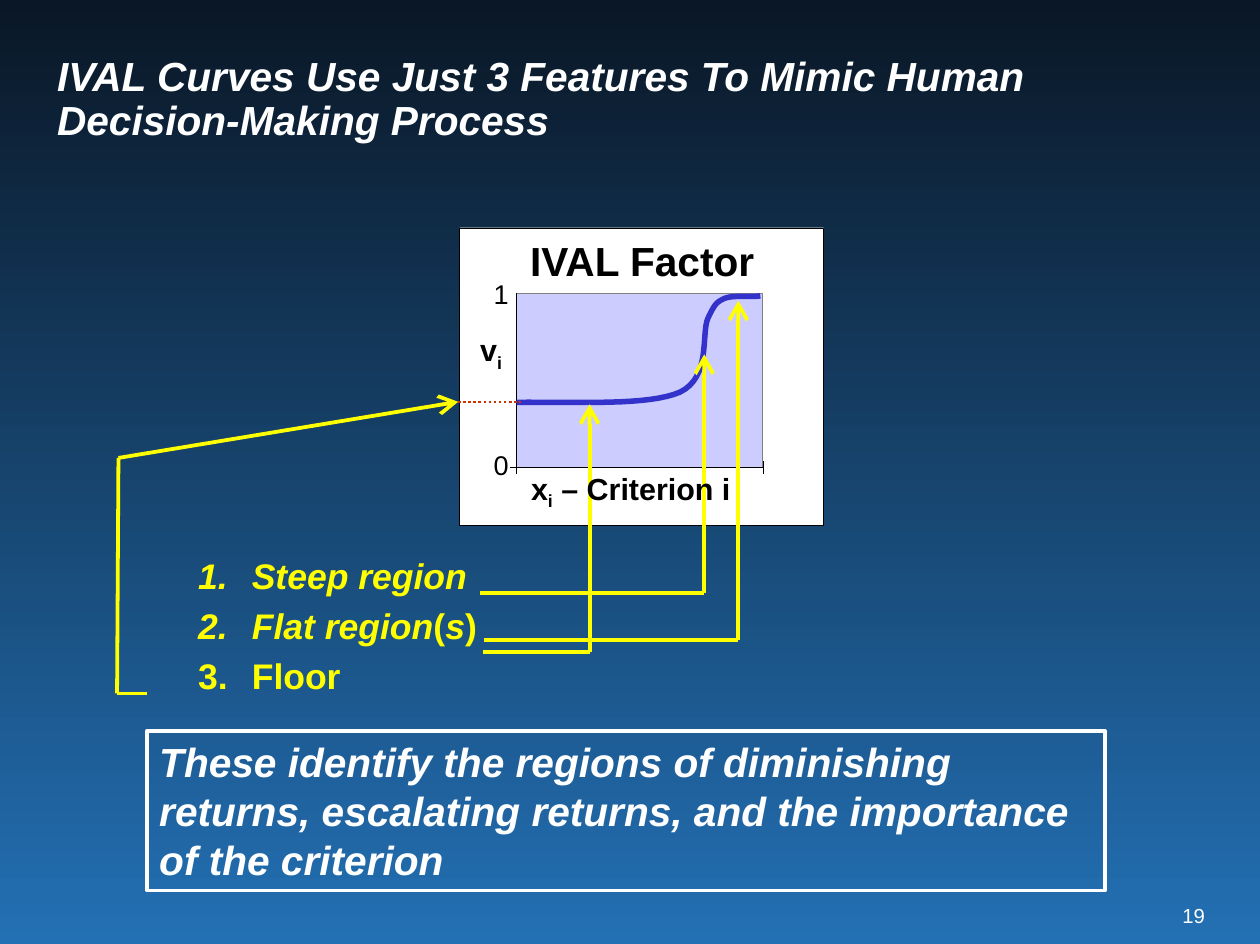
from lxml import etree
from pptx import Presentation
from pptx.dml.color import RGBColor
from pptx.enum import dml, shapes, text
from pptx.oxml import ns
from pptx.util import Cm, Pt

WHITE = RGBColor(0xFF, 0xFF, 0xFF)
BLACK = RGBColor(0, 0, 0)
YELLOW = RGBColor(0xFF, 0xFF, 0)
GREY = RGBColor(0x80, 0x80, 0x80)
LILAC = RGBColor(0xCC, 0xCC, 0xFF)
CURVE_BLUE = RGBColor(0x33, 0x33, 0xCC)
FLOOR_RED = RGBColor(0xCC, 0x33, 0)
NIGHT = RGBColor(0x0A, 0x17, 0x26)
SKY = RGBColor(0x23, 0x70, 0xB4)

CM_PER_INCH = 2.54
HAIRLINE = 0.25
HEADING = {"size": Pt(24), "bold": True, "italic": True}
BOLD_LABEL = {"size": Pt(18), "bold": True}
PAD = (0.25, 0.13)  # side and top text margins, cm


def sub(parent, tag, **attrs):
    return etree.SubElement(parent, ns.qn(tag), attrs)


def set_attrs(obj, **values):
    for name, value in values.items():
        setattr(obj, name, value)


def add_run(p, words, color, fmt, baseline=None):
    r = p.add_run()
    r.text = words
    set_attrs(r.font, name="Arial", **fmt)
    r.font.color.rgb = color
    if baseline:
        r._r.get_or_add_rPr().set("baseline", str(baseline))


def fill_frame(tf, runs, color, fmt, pad=(0, 0), wrap=True, para=None, **frame):
    """One paragraph of text; runs holds (words, baseline) pairs."""
    side, top = map(Cm, pad)
    set_attrs(tf, word_wrap=wrap, margin_left=side, margin_right=side,
              margin_top=top, margin_bottom=top, **frame)
    p = tf.paragraphs[0]
    set_attrs(p, **(para or {}))
    for words, baseline in runs:
        add_run(p, words, color, fmt, baseline)


def add_text(slide, box, *args, **kwargs):
    sp = slide.shapes.add_textbox(*map(Cm, box))
    fill_frame(sp.text_frame, *args, **kwargs)


def add_rect(slide, box, fill=None, line=None, width=HAIRLINE):
    sp = slide.shapes.add_shape(shapes.MSO_SHAPE.RECTANGLE, *map(Cm, box))
    sp.shadow.inherit = False
    if fill is None:
        sp.fill.background()
    else:
        sp.fill.solid()
        sp.fill.fore_color.rgb = fill
    sp.line.color.rgb = line
    sp.line.width = Pt(width)
    return sp


def add_line(slide, start, end, color, width=HAIRLINE, arrow=False):
    cn = slide.shapes.add_connector(shapes.MSO_CONNECTOR.STRAIGHT, *map(Cm, (*start, *end)))
    cn.line.color.rgb = color
    cn.line.width = Pt(width)
    if arrow:
        sub(cn.line._get_or_add_ln(), "a:tailEnd", type="arrow", w="lg", len="lg")
    sub(cn._element.spPr, "a:effectLst")
    return cn


def bezier(start, segments, steps=16):
    """Points along joined cubic curves."""
    points = [start]
    for a, b, end in segments:
        for t in (i / steps for i in range(1, steps + 1)):
            points.append(tuple((1 - t) ** 3 * w + 3 * (1 - t) ** 2 * t * x
                                + 3 * (1 - t) * t ** 2 * y + t ** 3 * z
                                for w, x, y, z in zip(start, a, b, end)))
        start = end
    return points


def background(slide):
    fill = slide.background.fill
    fill.gradient()
    fill.gradient_angle = 270
    for stop, color, position in zip(fill.gradient_stops, (NIGHT, SKY), (0, 1)):
        stop.color.rgb = color
        stop.position = position


def feature_list(slide, box):
    sp = slide.shapes.add_textbox(*map(Cm, box))
    tf = sp.text_frame
    tf.word_wrap = True
    items = ([("Steep region", True)],
             [("Flat region", True), ("(", False), ("s", True), (")", False)],
             [("Floor", False)])
    for i, runs in enumerate(items):
        p = tf.add_paragraph() if i else tf.paragraphs[0]
        pPr = p._p.get_or_add_pPr()
        pPr.set("marL", str(Cm(1.12)))
        pPr.set("indent", str(-Cm(1.12)))
        sub(pPr, "a:buFont", typeface="+mj-lt")
        sub(pPr, "a:buAutoNum", type="arabicPeriod")
        if i:
            p.space_before = Pt(4.2)
        for words, italic in runs:
            add_run(p, words, YELLOW, {"size": Pt(21), "bold": True, "italic": italic})


def message(slide, box):
    sp = add_rect(slide, box, line=WHITE, width=2.25)
    fill_frame(sp.text_frame,
               [("These identify the regions of diminishing returns, escalating "
                 "returns, and the importance of the criterion", None)],
               WHITE, HEADING, PAD, para={"alignment": text.PP_ALIGN.LEFT},
               vertical_anchor=text.MSO_ANCHOR.TOP)


def factor_chart(slide, box):
    left, top = box[:2]
    x, y, w, h = left + 1.19, top + 1.37, 5.13, 3.63

    # Panel and plot area
    add_rect(slide, box, WHITE, BLACK)
    add_rect(slide, (x, y, w, h), LILAC, GREY, 0.75)

    # Axes and ticks
    tick, base = 0.13, y + h
    for start, end in (((x, y), (x, base)), ((x - tick, base), (x + tick, base)),
                       ((x, base), (x + w, base)),
                       *(((tx, base + tick), (tx, base - tick)) for tx in (x, x + w))):
        add_line(slide, start, end, BLACK)

    # Heading and value labels
    for dx, dy, width, height, runs, fmt in (
            (1.47, 0.18, 4.72, 1.02, [("IVAL Factor", None)], {"size": Pt(24), "bold": True}),
            (0.71, 4.6, 0.3, 0.69, [("0", None)], {"size": Pt(16)}),
            (0.71, 1.04, 0.3, 0.69, [("1", None)], {"size": Pt(16)}),
            (0.43, 2.16, 0.51, 0.76, [("v", None), ("i", -25000)], BOLD_LABEL)):
        add_text(slide, (left + dx, top + dy, width, height), runs, BLACK, fmt, wrap=False)

    # Value curve
    points = bezier((0, 2.27), (((1.37, 2.26), (2.74, 2.34), (3.4, 2.06)),
                                ((4.06, 1.75), (3.84, 0.84), (3.99, 0.51)),
                                ((4.14, 0.2), (4.17, 0.18), (4.34, 0.1)),
                                ((4.52, 0.03), (4.93, 0.08), (5.08, 0.05))))
    points = [(Cm(x + px), Cm(y + py)) for px, py in points]
    fb = slide.shapes.build_freeform(*points[0])
    fb.add_line_segments(points[1:], close=False)
    curve = fb.convert_to_shape()
    curve.shadow.inherit = False
    curve.fill.background()
    curve.line.color.rgb = CURVE_BLUE
    curve.line.width = Pt(3.25)

    # Floor level
    floor = add_line(slide, (x - 1.22, y + 2.26), (x + 0.08, y + 2.26), FLOOR_RED, 1.5)
    floor.line.dash_style = dml.MSO_LINE.ROUND_DOT


def callouts(slide, box):
    left, top = box[:2]
    routes = (((0.63, 8.19), (0, 8.19), (0.03, 3.28), (7.11, 2.11)),  # floor
              ((7.64, 7.07), (12.95, 7.07), (12.95, 0)),  # upper flat region
              ((7.62, 7.32), (9.85, 7.32), (9.85, 2.16)),  # lower flat region
              ((7.57, 6.1), (12.24, 6.1), (12.24, 1.12)))  # steep region
    for route in routes:
        points = [(left + dx, top + dy) for dx, dy in route]
        for start, end in zip(points, points[1:]):
            add_line(slide, start, end, YELLOW, 2.25, arrow=end == points[-1])


def main():
    prs = Presentation()
    prs.slide_width, prs.slide_height = Cm(10.34 * CM_PER_INCH), Cm(7.75 * CM_PER_INCH)
    slide = prs.slides.add_slide(prs.slide_layouts[6])
    background(slide)

    # Page number and title
    add_text(slide, (24.61, 18.84, 0.51, 0.51), [("19", None)], WHITE, {"size": Pt(12)},
             wrap=False, para={"alignment": text.PP_ALIGN.RIGHT})
    add_text(slide, (0.94, 0.71, 21.51, 2.74),
             [("IVAL Curves Use Just 3 Features To Mimic Human Decision-Making Process", None)],
             WHITE, HEADING, PAD, para={"line_spacing": Pt(26)},
             vertical_anchor=text.MSO_ANCHOR.MIDDLE)

    # Features, conclusion and chart
    feature_list(slide, (3.88, 11.43, 14, 3.4))
    message(slide, (3.07, 15.24, 19.96, 3.33))
    factor_chart(slide, (9.58, 4.75, 7.59, 6.2))
    callouts(slide, (2.44, 6.27, 12.95, 8.19))

    # Criterion label, in front of the arrows
    add_text(slide, (11.07, 9.8, 4.67, 0.76),
             [("x", None), ("i", -25000), (" – Criterion i", None)], BLACK, BOLD_LABEL)
    prs.save("out.pptx")


if __name__ == "__main__":
    main()
